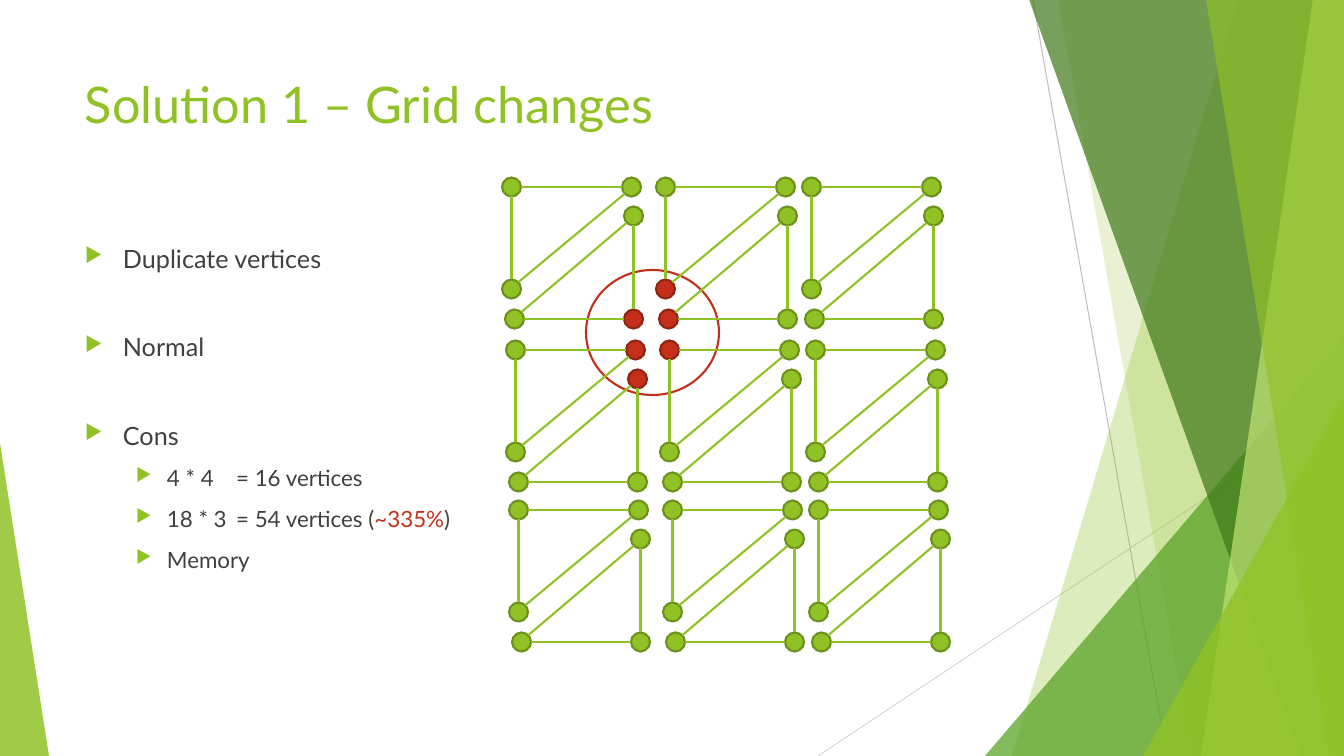
from lxml import etree
from pptx import Presentation
from pptx import util as u
from pptx.dml import color
from pptx.enum import shapes, text
from pptx.oxml import ns

SCALE = 914400 / 100.8
COLORS = {
    "lime": "90C226", "lime_edge": "6B901C", "leaf": "54A021", "forest": "3F7819",
    "pale": "C0E474", "red": "C42F1A", "red_edge": "912313", "white": "FFFFFF",
    "body": "404040", "grey": "BFBFBF", "light_grey": "D9D9D9",
}


def px(length):
    return u.Emu(round(length * SCALE))


def rgb(name):
    return color.RGBColor.from_string(COLORS[name])


def child(parent, tag, **attributes):
    return etree.SubElement(parent, ns.qn(tag), **attributes)


class Deck:
    font = "Lato"

    def __init__(self, width, height):
        self.presentation = Presentation()
        self.presentation.slide_width = px(width)
        self.presentation.slide_height = px(height)
        self.slide = self.presentation.slides.add_slide(self.presentation.slide_layouts[6])

    def paint(self, shape, fill, edge=None, opacity=100):
        shape.shadow.inherit = False
        shape.fill.solid()
        shape.fill.fore_color.rgb = rgb(fill)
        if opacity < 100:
            fill_color = shape.fill._xPr.find(".//" + ns.qn("a:srgbClr"))
            child(fill_color, "a:alpha", val=str(opacity * 1000))
        if edge:
            shape.line.color.rgb = rgb(edge)
            shape.line.width = u.Pt(1.5)
        else:
            shape.line.fill.background()

    def polygon(self, points, fill, opacity):
        builder = self.slide.shapes.build_freeform(*points[0], scale=SCALE)
        builder.add_line_segments(points[1:], close=True)
        self.paint(builder.convert_to_shape(), fill, opacity=opacity)

    def triangle(self, box, apex, fill, opacity):
        shape = self.slide.shapes.add_shape(shapes.MSO_SHAPE.ISOSCELES_TRIANGLE, *map(px, box))
        shape.adjustments[0] = apex
        self.paint(shape, fill, opacity=opacity)

    def ellipse(self, box, fill, edge):
        shape = self.slide.shapes.add_shape(shapes.MSO_SHAPE.OVAL, *map(px, box))
        self.paint(shape, fill, edge)

    def line(self, start, end, name="lime", width=1.5):
        connector = self.slide.shapes.add_connector(
            shapes.MSO_CONNECTOR.STRAIGHT, *map(px, (*start, *end)))
        connector.line.color.rgb = rgb(name)
        connector.line.width = u.Pt(width)
        child(connector._element.spPr, "a:effectLst")

    def text_frame(self, box):
        frame = self.slide.shapes.add_textbox(*map(px, box)).text_frame
        frame.word_wrap = True
        frame.vertical_anchor = text.MSO_ANCHOR.TOP
        return frame

    def add_run(self, paragraph, words, size, name):
        run = paragraph.add_run()
        run.text = words
        run.font.name = self.font
        run.font.size = u.Pt(size)
        run.font.color.rgb = rgb(name)

    def title(self, box, words):
        self.add_run(self.text_frame(box).paragraphs[0], words, 36, "lime")

    def bullets(self, box, items):
        frame = self.text_frame(box)
        for index, (level, gap, runs) in enumerate(items):
            paragraph = frame.add_paragraph() if index else frame.paragraphs[0]
            paragraph.level = level
            paragraph.space_before = u.Pt(gap)
            margin, hanging, size = ((38, 38, 18), (82, 31, 16))[level]
            properties = paragraph._p.get_or_add_pPr()
            properties.set("marL", str(px(margin)))
            properties.set("indent", str(-px(hanging)))
            properties.set("defTabSz", str(u.Inches(0.5)))
            child(child(properties, "a:buClr"), "a:srgbClr", val=COLORS["lime"])
            child(properties, "a:buSzPct", val="80000")
            child(properties, "a:buChar", char="▶")
            for words, name in runs:
                self.add_run(paragraph, words, size, name)


WIDTH, HEIGHT, TOP = 1344, 756, -1
deck = Deck(WIDTH, HEIGHT)


def ribbon(top_left, bottom_left, fill, opacity):
    points = [(top_left, TOP), (WIDTH, TOP), (WIDTH, HEIGHT), (bottom_left, HEIGHT)]
    deck.polygon(points, fill, opacity)


deck.line((1033, 0), (1167, HEIGHT), "grey", 0.75)
deck.line((WIDTH, 406), (818, HEIGHT), "light_grey", 0.75)
ribbon(1238, 1012, "lime", 30)
ribbon(1058, 1192, "lime", 20)
deck.triangle((985, 336, 359, 420), 1, "leaf", 72)
ribbon(1029, 1301, "forest", 70)
ribbon(1313, 1201, "pale", 70)
ribbon(1206, 1329, "lime", 65)
deck.triangle((1143, 396, 201, 360), 1, "lime", 80)
deck.triangle((0, 443, 49, 313), 0, "lime", 85)

deck.ellipse((586, 270, 133, 125), "white", "red")
deck.title((75, 68, 948, 145), "Solution 1 – Grid changes")
deck.bullets((75, 238, 415, 427), [
    (0, 0, [("Duplicate vertices", "body")]),
    (0, 41.6, [("Normal", "body")]),
    (0, 41.6, [("Cons", "body")]),
    (1, 10, [("4 * 4 \t= 16 vertices", "body")]),
    (1, 10, [("18 * 3 \t= 54 vertices (", "body"), ("~335%", "red"), (")", "body")]),
    (1, 10, [("Memory", "body")]),
])

DOT = 19
RADIUS = DOT / 2
DIAGONAL = 0.71
COLUMN_OFFSETS = (0, 154, 300)
ROW_OFFSETS = ((0, 0), (4, 163), (7, 323))
UPPER = ((0, 0), (120, 0), (0, 102))
LOWER = ((122, 132), (122, 29), (3, 132))
LEFT, RIGHT, UP, DOWN = (-1, 0), (1, 0), (0, -1), (0, 1)
DOWN_LEFT, UP_RIGHT = (-DIAGONAL, DIAGONAL), (DIAGONAL, -DIAGONAL)
SLOPE = (1, DOWN_LEFT, 2, UP_RIGHT)
TRIANGLES = (
    (UPPER, ((0, RIGHT, 1, LEFT), (0, DOWN, 2, UP), SLOPE)),
    (LOWER, ((0, UP, 1, DOWN), (0, LEFT, 2, RIGHT), SLOPE)),
)
SHARED_VERTICES = {
    (0, 0, LOWER[0]), (0, 1, UPPER[2]), (0, 1, LOWER[2]),
    (1, 0, UPPER[1]), (1, 0, LOWER[1]), (1, 1, UPPER[0]),
}


def rim(center, direction):
    return tuple(c + RADIUS * d for c, d in zip(center, direction))


for row, (shift, drop) in enumerate(ROW_OFFSETS):
    for column, offset in enumerate(COLUMN_OFFSETS):
        for vertices, edges in TRIANGLES:
            centers = [(511.5 + offset + shift + x, 187 + drop + y) for x, y in vertices]
            for vertex, (x, y) in zip(vertices, centers):
                name = "red" if (row, column, vertex) in SHARED_VERTICES else "lime"
                deck.ellipse((x - RADIUS, y - RADIUS, DOT, DOT), name, name + "_edge")
            for first, leaving, second, entering in edges:
                deck.line(rim(centers[first], leaving), rim(centers[second], entering))

deck.presentation.save("out.pptx")
